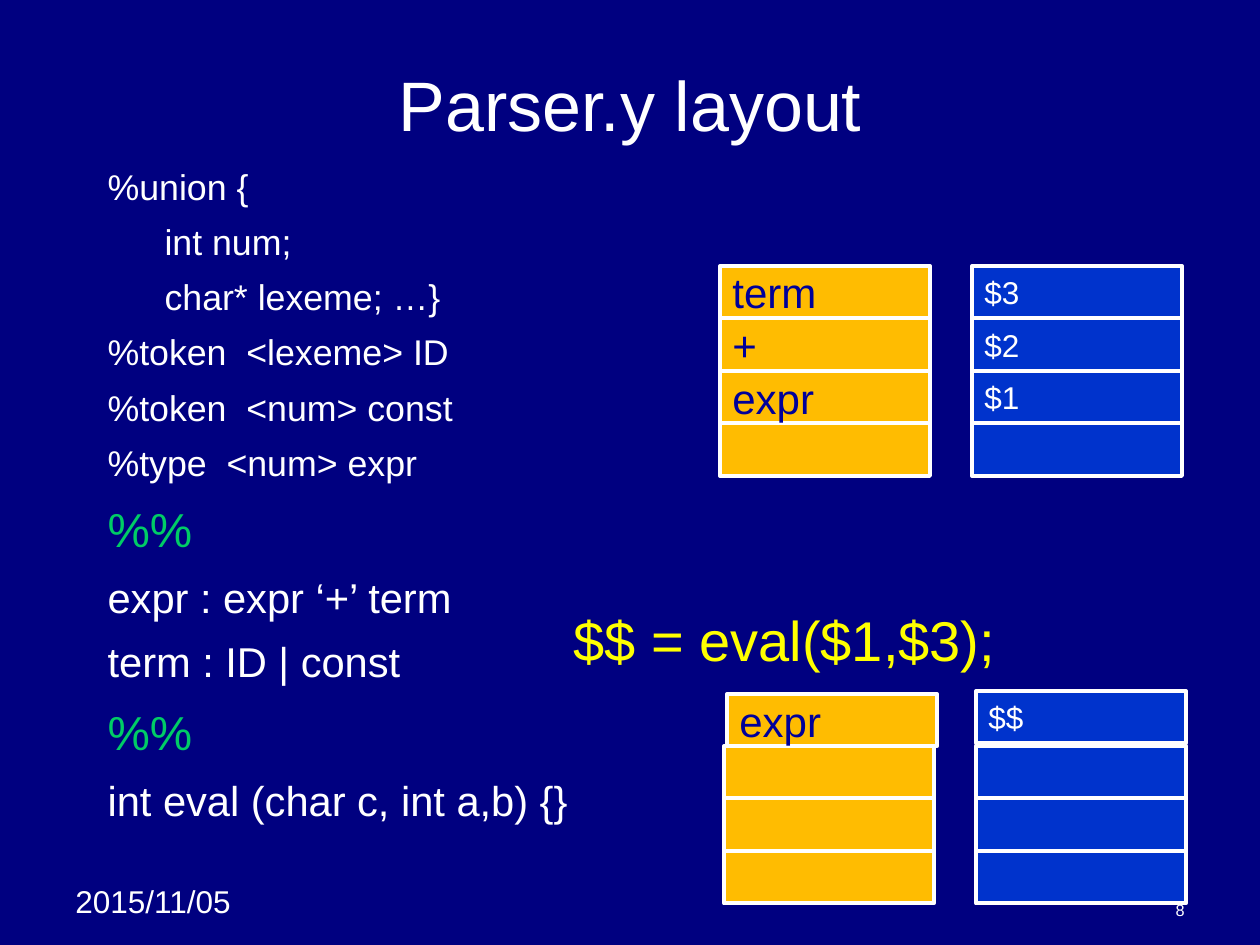
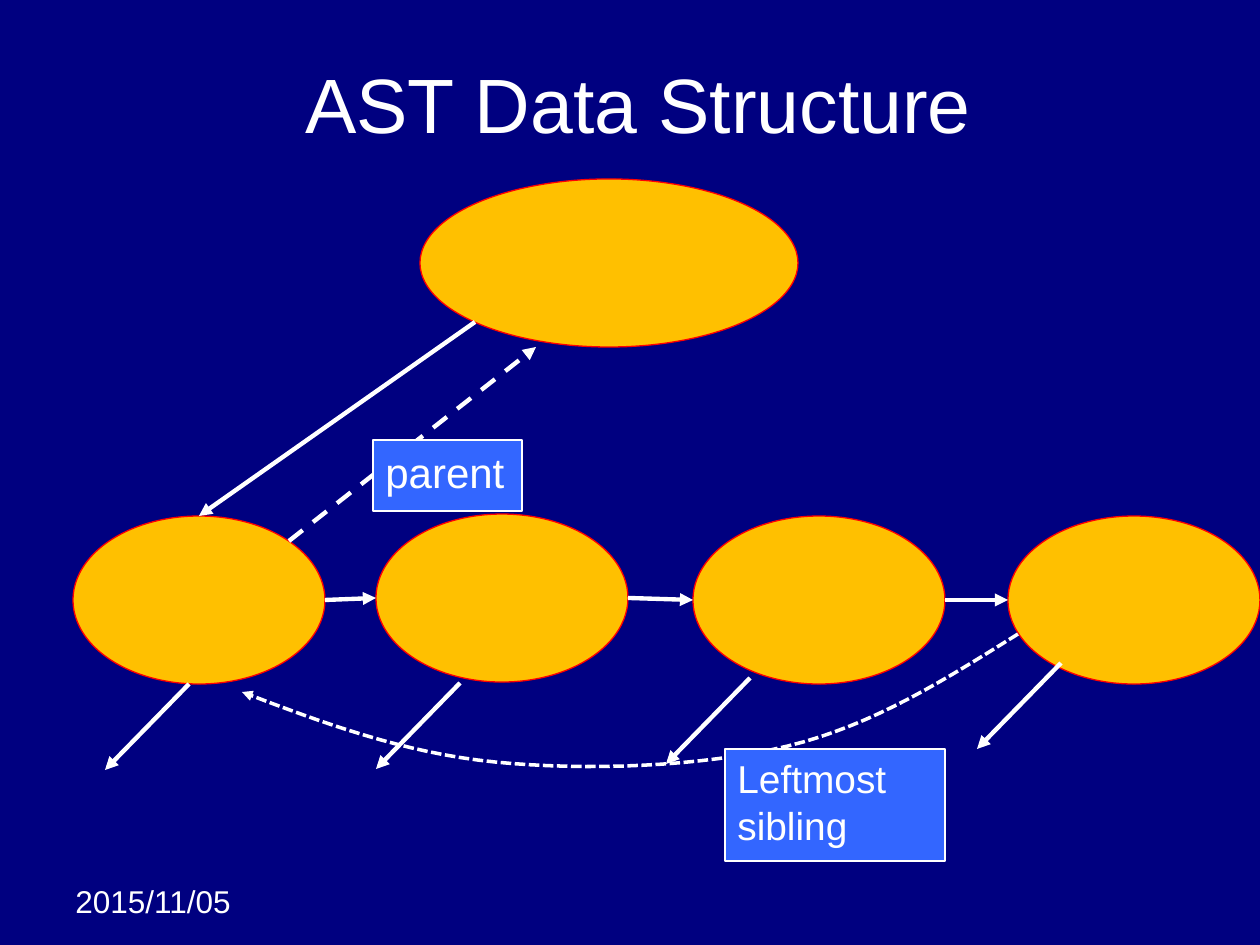
from pptx import Presentation
from pptx.dml.color import RGBColor
from pptx.enum.dml import MSO_LINE
from pptx.enum.shapes import MSO_CONNECTOR, MSO_SHAPE
from pptx.enum.text import MSO_ANCHOR, MSO_AUTO_SIZE, PP_ALIGN
from pptx.oxml.ns import qn
from pptx.util import Emu, Inches, Pt
from lxml.etree import SubElement

# Shared style
FONT = "Arial"
PX = Inches(1) / 126
NAVY, WHITE, GREEN, YELLOW = "000080", "FFFFFF", "00CC66", "FFFF00"
INK, AMBER, BLUE = "000099", "FFBC01", "0033CC"
NODE_FILL, NODE_LINE, LABEL_FILL = "FFC000", "FF0000", "3366FF"
DATE = "2015/11/05"
TITLE_BOX = (63, 38, 1134, 130)
DATE_BOX = (63, 876, 199, 50)

# Parser slide: text, size, colour, extra indent
GRAMMAR = [
    ("%union {", 20.4, WHITE, False),
    ("int num;", 20.4, WHITE, True),
    ("char* lexeme; …}", 20.4, WHITE, True),
    ("%token  <lexeme> ID", 20.4, WHITE, False),
    ("%token  <num> const", 20.4, WHITE, False),
    ("%type  <num> expr", 20.4, WHITE, False),
    ("%%", 27.2, GREEN, False),
    ("expr : expr ‘+’ term", 23.8, WHITE, False),
    ("term : ID | const", 23.8, WHITE, False),
    ("%%", 27.2, GREEN, False),
    ("int eval (char c, int a,b) {}", 23.8, WHITE, False),
]
CELL_WIDTH, CELL_HEIGHT = 210, 52.5
SYMBOLS = (AMBER, 24, INK)
VALUES = (BLUE, 18, WHITE)
# left, top, cell texts from the top, style
STACKS = [
    (720, 266, ["term", "+", "expr", ""], SYMBOLS),
    (972, 266, ["$3", "$2", "$1", ""], VALUES),
    (724, 746, ["", "", ""], SYMBOLS),
    (727, 694, ["expr"], SYMBOLS),
    (976, 746, ["", "", ""], VALUES),
    (976, 691, ["$$"], VALUES),
]

# Tree slide
ROOT = (420, 179, 378, 168)
SIBLINGS = [(left, top, 252, 168)
            for left, top in [(73, 516), (376, 514), (693, 516), (1008, 516)]]
FIRST_CHILD_ARROW = ((475, 322), (199, 516))
PARENT_ARROW = ((289, 541), (536, 347))
CHILD_STARTS = [(189, 684), (460, 683), (750, 678), (1061, 663)]
CHILD_STEP = (-84, 86)
LEFTMOST_CURVE = [
    (1018, 634), (946, 679), (874, 725), (788, 746), (701, 767),
    (586, 771), (495, 762), (404, 753), (323, 723), (242, 692),
]
LABELS = [
    ((373, 440, 149, 71), ["parent"], 24),
    ((725, 749, 220, 112), ["Leftmost", "sibling"], 22.2),
]


def px(*lengths):
    return [Emu(round(length * PX)) for length in lengths]


def color(code):
    return RGBColor.from_string(code)


def set_font(paragraph, size, code):
    paragraph.font.name = FONT
    paragraph.font.size = Pt(size)
    paragraph.font.color.rgb = color(code)


def write(shape, lines, size, code, align=PP_ALIGN.LEFT, anchor=MSO_ANCHOR.TOP, wrap=True):
    frame = shape.text_frame
    frame.word_wrap = wrap
    frame.auto_size = MSO_AUTO_SIZE.NONE
    frame.vertical_anchor = anchor
    frame.text = "\n".join(lines)
    for paragraph in frame.paragraphs:
        paragraph.alignment = align
        set_font(paragraph, size, code)


def place(shape, box):
    shape.left, shape.top, shape.width, shape.height = px(*box)


def add_text(page, box, text, size, code, **options):
    write(page.shapes.add_textbox(*px(*box)), [text], size, code, **options)


def add_box(page, kind, box, fill, line, width):
    shape = page.shapes.add_shape(kind, *px(*box))
    shape.shadow.inherit = False
    shape.fill.solid()
    shape.fill.fore_color.rgb = color(fill)
    shape.line.color.rgb = color(line)
    shape.line.width = Pt(width)
    return shape


def style_arrow(shape, width, dash=None):
    shape.line.color.rgb = color(WHITE)
    shape.line.width = Pt(width)
    if dash:
        shape.line.dash_style = dash
    outline = shape.element.spPr.find(qn("a:ln"))
    SubElement(outline, qn("a:tailEnd"), type="triangle")


def add_arrow(page, start, end, dash=None):
    arrow = page.shapes.add_connector(MSO_CONNECTOR.STRAIGHT, *px(*start, *end))
    style_arrow(arrow, 2.5, dash)
    SubElement(arrow.element.spPr, qn("a:effectLst"))


def curve_points(controls, steps=16):
    """Yield points along joined cubic curves, after the first point."""
    for first in range(0, len(controls) - 1, 3):
        segment = controls[first:first + 4]
        for step in range(1, steps + 1):
            t = step / steps
            weights = ((1 - t) ** 3, 3 * t * (1 - t) ** 2, 3 * t * t * (1 - t), t ** 3)
            yield px(*(sum(w * value for w, value in zip(weights, axis))
                       for axis in zip(*segment)))


def add_page(deck, layout, title, size):
    page = deck.slides.add_slide(deck.slide_layouts[layout])
    place(page.shapes.title, TITLE_BOX)
    write(page.shapes.title, [title], size, WHITE,
          align=PP_ALIGN.CENTER, anchor=MSO_ANCHOR.MIDDLE)
    add_text(page, DATE_BOX, DATE, 18, WHITE)
    return page


def fill_grammar(body):
    place(body, (95, 158, 1071, 672))
    frame = body.text_frame
    frame.auto_size = MSO_AUTO_SIZE.NONE
    for index, (text, size, code, indented) in enumerate(GRAMMAR):
        paragraph = frame.add_paragraph() if index else frame.paragraphs[0]
        paragraph.text = text
        set_font(paragraph, size, code)
        paragraph.space_before = Pt(round(size * 0.35, 1))
        margin, hanging = px(57, 0) if indented else px(48, -48)
        properties = paragraph._p.get_or_add_pPr()
        properties.set("marL", str(margin))
        properties.set("indent", str(hanging))
        SubElement(properties, qn("a:buNone"))


def build_parser_page(deck):
    page = add_page(deck, 1, "Parser.y layout", 40)
    add_text(page, (903, 892, 294, 34), "8", 9.3, WHITE,
             align=PP_ALIGN.RIGHT, anchor=MSO_ANCHOR.BOTTOM)
    fill_grammar(page.placeholders[1])
    add_text(page, (561, 599, 447, 81), "$$ = eval($1,$3);", 32, YELLOW, wrap=False)
    # Stacks are laid from the bottom cell up
    for left, top, texts, (fill, size, ink) in STACKS:
        for row, text in reversed(list(enumerate(texts))):
            box = (left, top + row * CELL_HEIGHT, CELL_WIDTH, CELL_HEIGHT)
            cell = add_box(page, MSO_SHAPE.RECTANGLE, box, fill, WHITE, 2.25)
            if text:
                write(cell, [text], size, ink, anchor=MSO_ANCHOR.MIDDLE, wrap=False)


def build_tree_page(deck):
    page = add_page(deck, 5, " AST Data Structure", 44)
    for box in [ROOT, *SIBLINGS]:
        add_box(page, MSO_SHAPE.OVAL, box, NODE_FILL, NODE_LINE, 0.75)
    # Arrows between the nodes
    add_arrow(page, *FIRST_CHILD_ARROW)
    for (left, top, width, height), following in zip(SIBLINGS, SIBLINGS[1:]):
        add_arrow(page, (left + width, top + height / 2),
                  (following[0], following[1] + following[3] / 2))
    for x, y in CHILD_STARTS:
        add_arrow(page, (x, y), (x + CHILD_STEP[0], y + CHILD_STEP[1]))
    add_arrow(page, *PARENT_ARROW, dash=MSO_LINE.DASH)
    # Curve back to the leftmost sibling
    builder = page.shapes.build_freeform(*px(*LEFTMOST_CURVE[0]))
    builder.add_line_segments(list(curve_points(LEFTMOST_CURVE)), close=False)
    curve = builder.convert_to_shape()
    curve.shadow.inherit = False
    curve.fill.background()
    style_arrow(curve, 2, MSO_LINE.SQUARE_DOT)
    # Labels cover the dashed lines
    for box, lines, size in LABELS:
        label = add_box(page, MSO_SHAPE.RECTANGLE, box, LABEL_FILL, WHITE, 0.75)
        write(label, lines, size, WHITE)


def main():
    deck = Presentation()
    deck.slide_width, deck.slide_height = px(1260, 945)
    background = deck.slide_master.background.fill
    background.solid()
    background.fore_color.rgb = color(NAVY)
    build_parser_page(deck)
    build_tree_page(deck)
    deck.save("out.pptx")


if __name__ == "__main__":
    main()
